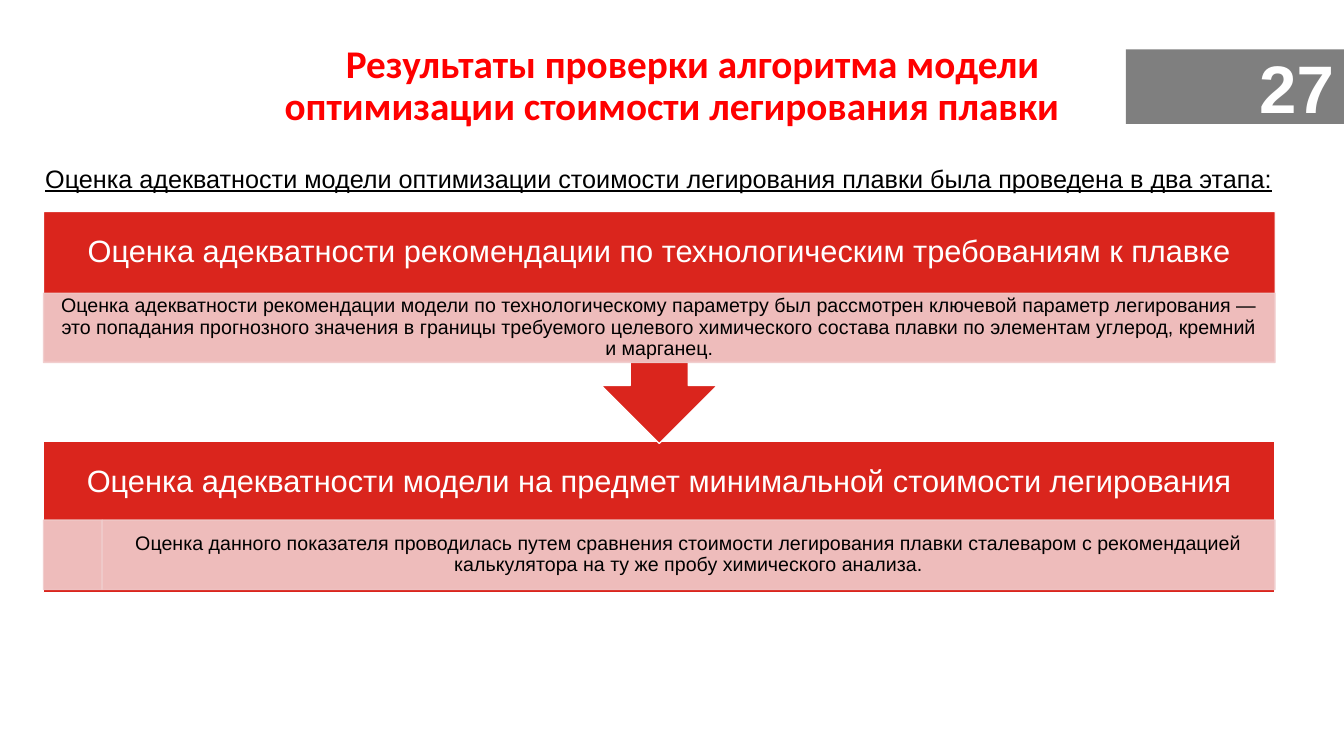
from lxml import etree
from pptx import Presentation
from pptx.dml.color import RGBColor
from pptx.enum.shapes import MSO_SHAPE
from pptx.enum.text import MSO_ANCHOR, PP_ALIGN
from pptx.oxml.ns import qn
from pptx.util import Pt

RECT, CALLOUT = MSO_SHAPE.RECTANGLE, MSO_SHAPE.DOWN_ARROW_CALLOUT
TOP, MIDDLE = MSO_ANCHOR.TOP, MSO_ANCHOR.MIDDLE
CENTER, RIGHT, JUSTIFY = PP_ALIGN.CENTER, PP_ALIGN.RIGHT, PP_ALIGN.JUSTIFY

RED, PINK, WHITE, BLACK = "DA251D", "F1CDCD", "FFFFFF", "000000"
STAGE_LEFT, STAGE_WIDTH = 31, 879.8
HEADER_HEIGHT, DETAIL_HEIGHT = 58.2, 49.6
MARKER_WIDTH = 41.9


def rgb(hex_value):
    return RGBColor.from_string(hex_value)


def set_alpha(color_format, percent):
    """Make a solid fill partly transparent."""
    color = color_format._xFill.find(qn("a:srgbClr"))
    etree.SubElement(color, qn("a:alpha"), val=str(percent * 1000))


def add_block(slide, kind, box, fill, line=None, alpha=None):
    block = slide.shapes.add_shape(kind, *map(Pt, box))
    block.shadow.inherit = False
    block.fill.solid()
    block.fill.fore_color.rgb = rgb(fill)
    if line:
        block.line.color.rgb = rgb(line)
        block.line.width = Pt(0.85)
    else:
        block.line.fill.background()
    if alpha:
        set_alpha(block.fill.fore_color, alpha)
        if line:
            set_alpha(block.line.fill.fore_color, alpha)
    return block


def write(shape, text, size, color, align=CENTER, anchor=MIDDLE, font="Arial",
          insets=(7.2, 3.6), spacing=None, bold=False, underline=False):
    frame = shape.text_frame
    frame.word_wrap = True
    frame.vertical_anchor = anchor
    frame.margin_left = frame.margin_right = Pt(insets[0])
    frame.margin_top = frame.margin_bottom = Pt(insets[1])
    paragraph = frame.paragraphs[0]
    paragraph.text = text
    paragraph.alignment = align
    paragraph.line_spacing = spacing
    paragraph.font.name = font
    paragraph.font.size = Pt(size)
    paragraph.font.bold = bold
    paragraph.font.underline = underline
    paragraph.font.color.rgb = rgb(color)


def add_text(slide, box, text, size, color, **style):
    write(slide.shapes.add_textbox(*map(Pt, box)), text, size, color, **style)


def add_stage(slide, kind, top, height, detail_top, detail_indent, header, detail):
    """Red block with a heading and a pink strip of detail below it."""
    add_block(slide, kind, (STAGE_LEFT, top, STAGE_WIDTH, height), RED, WHITE)
    add_text(slide, (STAGE_LEFT, top, STAGE_WIDTH, HEADER_HEIGHT), header, 22, WHITE,
             insets=(12.2, 12.2), spacing=0.9)
    if detail_indent:
        add_block(slide, RECT, (STAGE_LEFT, detail_top, detail_indent, DETAIL_HEIGHT),
                  PINK, PINK, 90)
    strip = add_block(slide, RECT, (STAGE_LEFT + detail_indent, detail_top,
                                    STAGE_WIDTH - detail_indent, DETAIL_HEIGHT),
                      PINK, PINK, 90)
    write(strip, detail, 14, BLACK, insets=(8, 1.4), spacing=0.9)


def main():
    prs = Presentation()
    prs.slide_width, prs.slide_height = Pt(960), Pt(540)
    slide = prs.slides.add_slide(prs.slide_layouts[6])

    # Title and slide number
    add_text(slide, (22.3, 18.7, 908.6, 86.4),
             " \tРезультаты проверки алгоритма модели\v"
             " оптимизации стоимости легирования плавки",
             28, "FF0000", font="Calibri", spacing=0.9, bold=True)
    number = add_block(slide, RECT, (804.2, 35.3, 155.8, 53.3), BLACK, alpha=50)
    write(number, "27", 48, WHITE, align=RIGHT, bold=True)

    # Introduction
    add_text(slide, (25.2, 113, 915.8, 28.8),
             "Оценка адекватности модели оптимизации стоимости легирования плавки "
             "была проведена в два этапа:",
             18, BLACK, align=JUSTIFY, anchor=TOP, underline=True)

    # Two stages, the second under the arrow of the first
    add_stage(slide, RECT, 315.4, 108, 371.5, MARKER_WIDTH,
              "Оценка адекватности модели на предмет минимальной стоимости легирования",
              "Оценка данного показателя проводилась путем сравнения стоимости "
              "легирования плавки сталеваром с рекомендацией калькулятора на ту же "
              "пробу химического анализа.")
    add_stage(slide, CALLOUT, 151.2, 165.6, 209.4, 0,
              "Оценка адекватности рекомендации по технологическим требованиям к плавке",
              "Оценка адекватности рекомендации модели по технологическому параметру "
              "был рассмотрен ключевой параметр легирования — это попадания прогнозного "
              "значения в границы требуемого целевого химического состава плавки по "
              "элементам углерод, кремний и марганец.")

    prs.save("out.pptx")


if __name__ == "__main__":
    main()
